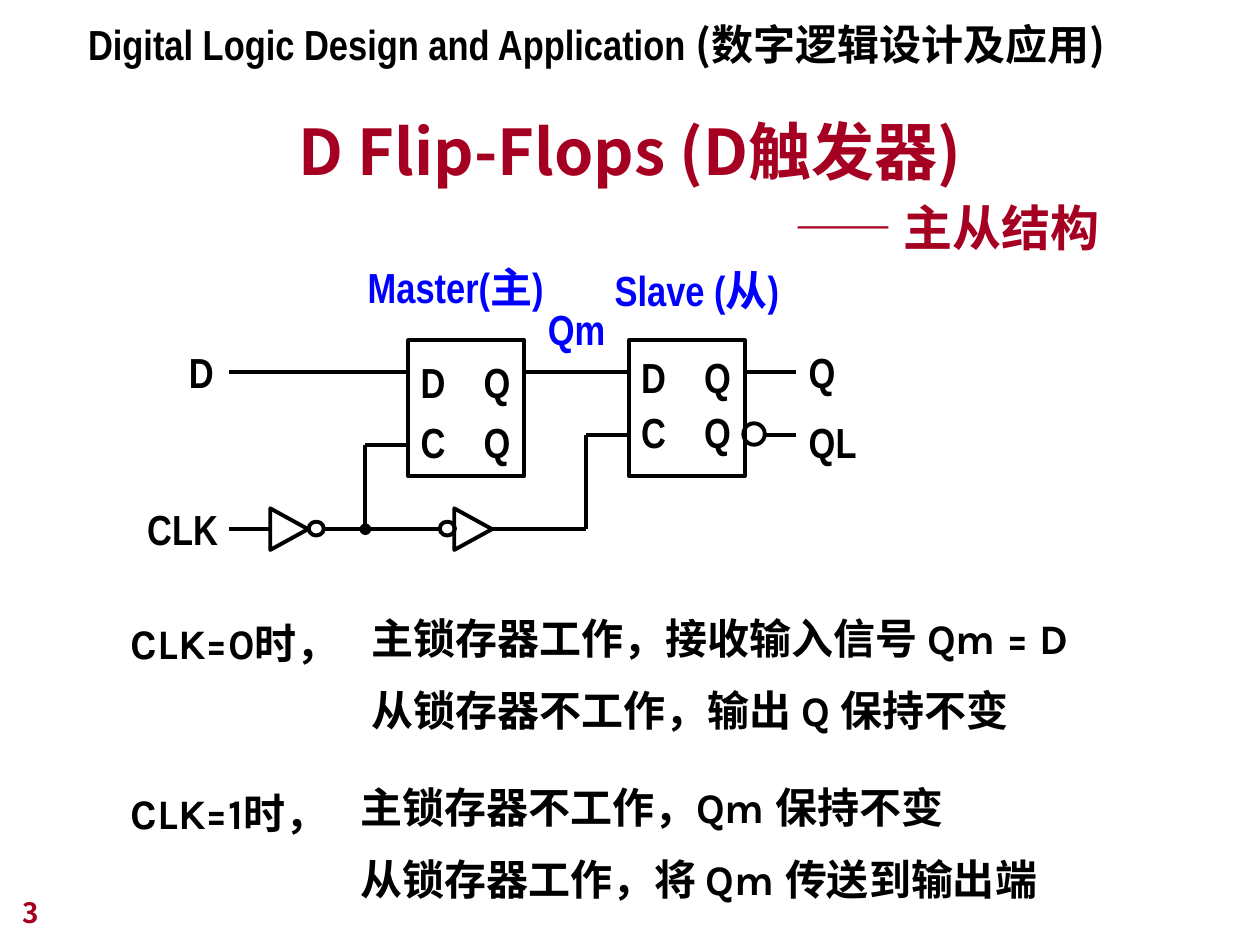
from dataclasses import dataclass

from lxml.etree import SubElement
from pptx import Presentation
from pptx.dml.color import RGBColor
from pptx.enum.shapes import MSO_CONNECTOR, MSO_SHAPE
from pptx.enum.text import MSO_ANCHOR, MSO_AUTO_SIZE, PP_ALIGN
from pptx.oxml.ns import qn
from pptx.util import Inches, Pt


@dataclass(frozen=True)
class Theme:
    ink: RGBColor = RGBColor(0x00, 0x00, 0x00)
    accent: RGBColor = RGBColor(0xA5, 0x00, 0x21)
    signal: RGBColor = RGBColor(0x00, 0x00, 0xFF)
    narrow: str = "Arial Narrow"
    prose: str = "Karla"
    cjk: str = "Noto Sans CJK JP"
    title: Pt = Pt(36)
    subtitle: Pt = Pt(28)
    body: Pt = Pt(24)
    number: Pt = Pt(16)
    wire: Pt = Pt(2.25)


THEME = Theme()
LABEL = {"name": THEME.narrow, "size": THEME.body, "color": THEME.ink}
SIGNAL = {**LABEL, "color": THEME.signal}
PROSE = {**LABEL, "name": THEME.prose}
HEADER_CJK = {**LABEL, "name": THEME.cjk}
TITLE = {"name": THEME.cjk, "size": THEME.title, "color": THEME.accent}
SUBTITLE = {"name": THEME.narrow, "size": THEME.subtitle, "color": THEME.accent}
NUMBER = {**TITLE, "size": THEME.number}

CLOCK_Y = 4.2
DATA_Y = 2.95
MASTER_C_Y = 3.53
SLAVE_C_Y = 3.45
MASTER_X, SLAVE_X = 3.24, 4.99
LATCH_TOP, LATCH_WIDTH, LATCH_HEIGHT = 2.7, 0.92, 1.08
INPUT_X, OUTPUT_X = 1.82, 6.32
MASTER_TAP_X, SLAVE_TAP_X = 2.9, 4.65


def add_run(paragraph, text, style):
    run = paragraph.add_run()
    run.text = text
    run.font.bold = True
    for attribute, value in style.items():
        if attribute == "color":
            run.font.color.rgb = value
        else:
            setattr(run.font, attribute, value)
    east_asian = SubElement(run.font._element, qn("a:ea"))
    east_asian.set("typeface", THEME.cjk)


def write_lines(frame, lines, style, paragraph_format=None, later_format=None):
    for index, line in enumerate(lines):
        paragraph = frame.add_paragraph() if index else frame.paragraphs[0]
        values = {**(paragraph_format or {}), **((later_format or {}) if index else {})}
        for attribute, value in values.items():
            setattr(paragraph, attribute, value)
        add_run(paragraph, line, style)


def add_text(slide, box, lines, style, paragraph_format=None, later_format=None):
    frame = slide.shapes.add_textbox(*map(Inches, box)).text_frame
    frame.word_wrap = False
    frame.auto_size = MSO_AUTO_SIZE.SHAPE_TO_FIT_TEXT
    write_lines(frame, lines, style, paragraph_format, later_format)
    return frame


def add_fixed_text(slide, box, lines, style, anchor, alignment):
    frame = add_text(slide, box, lines, style, {"alignment": alignment})
    frame.word_wrap = True
    frame.auto_size = MSO_AUTO_SIZE.NONE
    frame.vertical_anchor = anchor
    return frame


def add_outline(slide, kind, box, rotation=0):
    outline = slide.shapes.add_shape(kind, *map(Inches, box))
    outline.shadow.inherit = False
    outline.fill.background()
    outline.line.color.rgb = THEME.ink
    outline.line.width = THEME.wire
    outline.rotation = rotation
    return outline


def add_latch(slide, left, spacing):
    box = left, LATCH_TOP, LATCH_WIDTH, LATCH_HEIGHT
    frame = add_outline(slide, MSO_SHAPE.RECTANGLE, box).text_frame
    frame.word_wrap = True
    frame.vertical_anchor = MSO_ANCHOR.TOP
    for paragraph in (frame.paragraphs[0], frame.add_paragraph()):
        tabs = SubElement(paragraph._p.get_or_add_pPr(), qn("a:tabLst"))
        SubElement(tabs, qn("a:tab"), pos=str(Inches(0.5)), algn="l")
        paragraph.alignment = PP_ALIGN.LEFT
        paragraph.line_spacing = spacing
    for paragraph, pins in zip(frame.paragraphs, ("D\tQ", "C\tQ")):
        add_run(paragraph, pins, LABEL)


def add_inverter(slide, triangle_left, bubble_left):
    add_outline(slide, MSO_SHAPE.ISOSCELES_TRIANGLE,
                (triangle_left, CLOCK_Y - 0.15, 0.33, 0.3), 90)
    add_outline(slide, MSO_SHAPE.OVAL, (bubble_left, CLOCK_Y - 0.06, 0.12, 0.11))


def add_wire(slide, start, end, junction=False):
    wire = slide.shapes.add_connector(
        MSO_CONNECTOR.STRAIGHT, *map(Inches, (*start, *end)))
    wire.line.color.rgb = THEME.ink
    wire.line.width = THEME.wire
    if junction:
        SubElement(wire.line._get_or_add_ln(), qn("a:tailEnd"), type="oval")
    SubElement(wire._element.spPr, qn("a:effectLst"))


def add_circuit(slide):
    add_latch(slide, MASTER_X, 1.2)
    add_latch(slide, SLAVE_X, 1.1)
    add_inverter(slide, 2.13, 2.45)
    add_inverter(slide, 3.59, 3.49)
    add_outline(slide, MSO_SHAPE.OVAL, (5.9, 3.36, 0.17, 0.17))

    horizontal_wires = [
        (DATA_Y, INPUT_X, MASTER_X),
        (DATA_Y, MASTER_X + LATCH_WIDTH, SLAVE_X),
        (DATA_Y, SLAVE_X + LATCH_WIDTH, OUTPUT_X),
        (MASTER_C_Y, MASTER_TAP_X, MASTER_X),
        (SLAVE_C_Y, SLAVE_TAP_X, SLAVE_X),
        (SLAVE_C_Y, 6.07, OUTPUT_X),
        (CLOCK_Y, INPUT_X, 2.15),
        (CLOCK_Y, 2.57, 3.49),
        (CLOCK_Y, 3.9, SLAVE_TAP_X),
    ]
    for y, left, right in horizontal_wires:
        add_wire(slide, (left, y), (right, y))
    add_wire(slide, (SLAVE_TAP_X, SLAVE_C_Y), (SLAVE_TAP_X, CLOCK_Y))
    add_wire(slide, (MASTER_TAP_X, MASTER_C_Y), (MASTER_TAP_X, CLOCK_Y), junction=True)

    add_text(slide, (1.4, 2.7, 0.39, 0.5), ["D"], LABEL)
    add_text(slide, (1.07, 3.95, 0.76, 0.5), ["CLK"], LABEL)
    add_text(slide, (OUTPUT_X, 2.7, 0.58, 1.06), ["Q", "QL"], LABEL,
             later_format={"line_spacing": 1.4})

    signals = [
        ("Master(主)", (2.82, 2.03, 1.85, 0.5)),
        ("Slave (从)", (4.78, 2.05, 1.76, 0.5)),
        ("Qm", (4.25, 2.36, 0.75, 0.5)),
    ]
    for signal, box in signals:
        add_fixed_text(slide, box, [signal], SIGNAL, MSO_ANCHOR.TOP, PP_ALIGN.LEFT)


def add_clock_phases(slide):
    phases = [
        ("CLK=0时，", 4.85, (2.85, 4.86, 5.89, 1.03),
         ["主锁存器工作，接收输入信号 Qm = D", "从锁存器不工作，输出 Q 保持不变"]),
        ("CLK=1时，", 6.2, (2.76, 6.2, 5.78, 1.03),
         ["主锁存器不工作，Qm 保持不变", "从锁存器工作，将 Qm 传送到输出端"]),
    ]
    for condition, top, box, effects in phases:
        add_text(slide, (0.94, top, 1.95, 0.5), [condition], PROSE)
        add_text(slide, box, effects, PROSE,
                 {"line_spacing": 0.9}, {"space_before": Pt(15)})


def add_headings(slide):
    header = add_fixed_text(slide, (0.6, 0.1, 8.41, 0.5),
                            ["Digital Logic Design and Application "], LABEL,
                            MSO_ANCHOR.TOP, PP_ALIGN.LEFT)
    add_run(header.paragraphs[0], "(数字逻辑设计及应用)", HEADER_CJK)
    add_fixed_text(slide, (0.75, 0.71, 8.5, 0.83), ["D Flip-Flops (D触发器)"],
                   TITLE, MSO_ANCHOR.BOTTOM, PP_ALIGN.CENTER)
    add_text(slide, (6.21, 1.52, 2.62, 0.57), ["—— 主从结构"], SUBTITLE)
    add_fixed_text(slide, (0.08, 6.92, 2.08, 0.5), ["3"],
                   NUMBER, MSO_ANCHOR.BOTTOM, PP_ALIGN.LEFT)


def main():
    deck = Presentation()
    deck.slide_width, deck.slide_height = Inches(10), Inches(7.5)
    slide = deck.slides.add_slide(deck.slide_layouts[6])
    add_headings(slide)
    add_circuit(slide)
    add_clock_phases(slide)
    deck.save("out.pptx")


if __name__ == "__main__":
    main()
